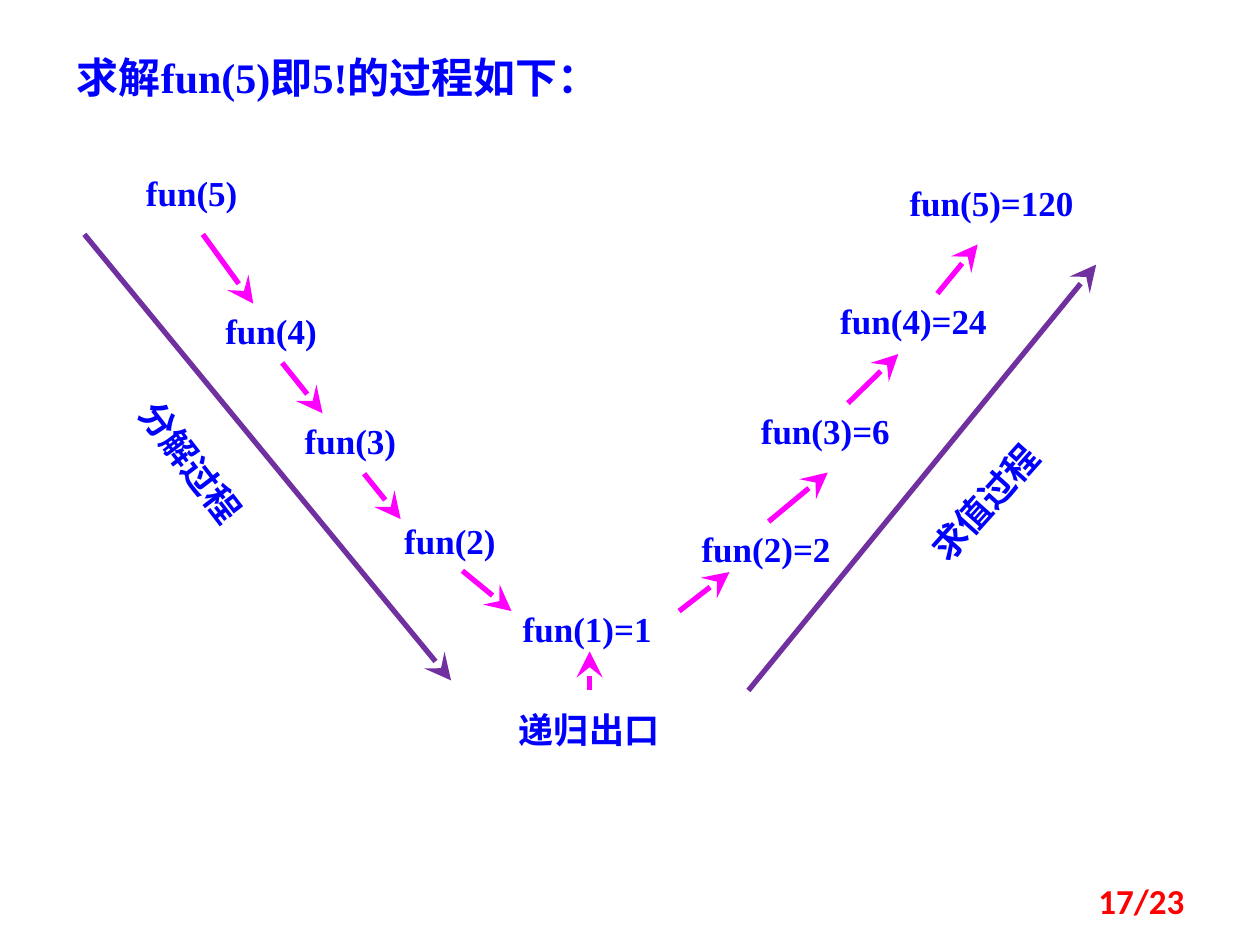
from lxml.etree import SubElement
from pptx import Presentation
from pptx.dml.color import RGBColor
from pptx.enum.shapes import MSO_CONNECTOR as Connector
from pptx.enum.text import MSO_ANCHOR as Anchor, MSO_AUTO_SIZE as AutoSize, PP_ALIGN as Align
from pptx.oxml.ns import qn
from pptx.util import Inches, Pt

BLUE = RGBColor(0x00, 0x00, 0xFF)
MAGENTA = RGBColor(0xFF, 0x00, 0xFF)
PURPLE = RGBColor(0x70, 0x30, 0xA0)
RED = RGBColor(0xFF, 0x00, 0x00)

LATIN = "Times New Roman"
HAN = "Noto Sans CJK SC"
COLUMNS, ROWS = 100, 75
LABEL_ROWS = 4.3

# Each step: text, (left, top, width), arrow start, arrow end
DESCENT = [
    ("fun(4)", (16.9, 24.1, 11), (16.1, 18.6), (20.1, 24.1)),
    ("fun(3)", (23.2, 32.8, 11), (22.4, 28.8), (25.6, 32.8)),
    ("fun(2)", (31.1, 40.7, 11), (28.9, 37.6), (31.8, 41.2)),
    ("fun(1)=1", (40.5, 47.7, 15), (36.7, 45.3), (40.6, 48.5)),
]
ASCENT = [
    ("fun(2)=2", (54.7, 41.4, 13.4), (53.9, 48.5), (57.9, 45.4)),
    ("fun(3)=6", (59.4, 32, 14.2), (61, 41.4), (65.7, 37.5)),
    ("fun(4)=24", (65.7, 23.3, 14.2), (67.3, 32), (71.3, 28.1)),
    ("fun(5)=120", (71.2, 13.9, 16.5), (74.4, 23.3), (77.6, 19.4)),
]


class RecursionPage:
    """Places styled elements on a grid of COLUMNS by ROWS cells."""

    def __init__(self, deck):
        self.page = deck.slides.add_slide(deck.slide_layouts[5])
        self.column = deck.slide_width / COLUMNS
        self.row = deck.slide_height / ROWS

    def spot(self, column, row):
        return round(column * self.column), round(row * self.row)

    def set_text(self, box, text, size, color=BLUE, font=LATIN, align=Align.LEFT,
                 anchor=Anchor.TOP, fit=AutoSize.SHAPE_TO_FIT_TEXT):
        frame = box.text_frame
        frame.word_wrap = True
        frame.auto_size = fit
        frame.vertical_anchor = anchor
        para = frame.paragraphs[0]
        para.text = text
        para.alignment = align
        para.font.size = Pt(size)
        para.font.bold = True
        para.font.color.rgb = color
        para.font.name = font
        # East Asian typeface
        defaults = para._p.find(f".//{qn('a:defRPr')}")
        SubElement(defaults, qn("a:ea"), typeface=HAN)

    def title(self, text, left, top, width, height):
        box = self.page.shapes.title
        box.left, box.top = self.spot(left, top)
        box.width, box.height = self.spot(width, height)
        self.set_text(box, text, 24)

    def label(self, text, left, top, width, height=LABEL_ROWS, turn=0, **style):
        box = self.page.shapes.add_textbox(*self.spot(left, top), *self.spot(width, height))
        box.rotation = turn
        self.set_text(box, text, 20, **style)

    def arrow(self, start, end, color=MAGENTA):
        line = self.page.shapes.add_connector(
            Connector.STRAIGHT, *self.spot(*start), *self.spot(*end))
        line.line.color.rgb = color
        line.line.width = Pt(3)
        SubElement(line.line._get_or_add_ln(), qn("a:tailEnd"),
                   type="stealth", w="lg", len="lg")
        SubElement(line._element.spPr, qn("a:effectLst"))

    def step(self, text, place, start, end):
        self.label(text, *place)
        self.arrow(start, end)


def main():
    deck = Presentation()
    deck.slide_width, deck.slide_height = Inches(10), Inches(7.5)
    page = RecursionPage(deck)

    page.title("求解fun(5)即5!的过程如下：", 5.1, 3.6, 47.2, 5)

    # Calls going down, then values coming back up
    page.label("fun(5)", 10.6, 13.1, 11)
    for step in DESCENT + ASCENT:
        page.step(*step)

    # Base case of the recursion
    page.arrow((46.8, 54.8), (46.8, 51.7))
    page.label("递归出口", 37.3, 55.7, 18.9, font=HAN, align=Align.CENTER)

    # Long arrows naming the two phases
    page.arrow((6.7, 18.6), (35.8, 54), PURPLE)
    page.label("分解过程", 5.7, 34.5, 18.9, turn=52.5, font=HAN, align=Align.CENTER)
    page.arrow((59.4, 54.8), (87, 21), PURPLE)
    page.label("求值过程", 68.7, 37.7, 18.9, turn=311.9, align=Align.CENTER)

    # Page number
    page.label("17/23", 71.7, 69.5, 23.3, 4, color=RED, font="Calibri",
               align=Align.RIGHT, anchor=Anchor.MIDDLE, fit=AutoSize.NONE)

    deck.save("out.pptx")


if __name__ == "__main__":
    main()
